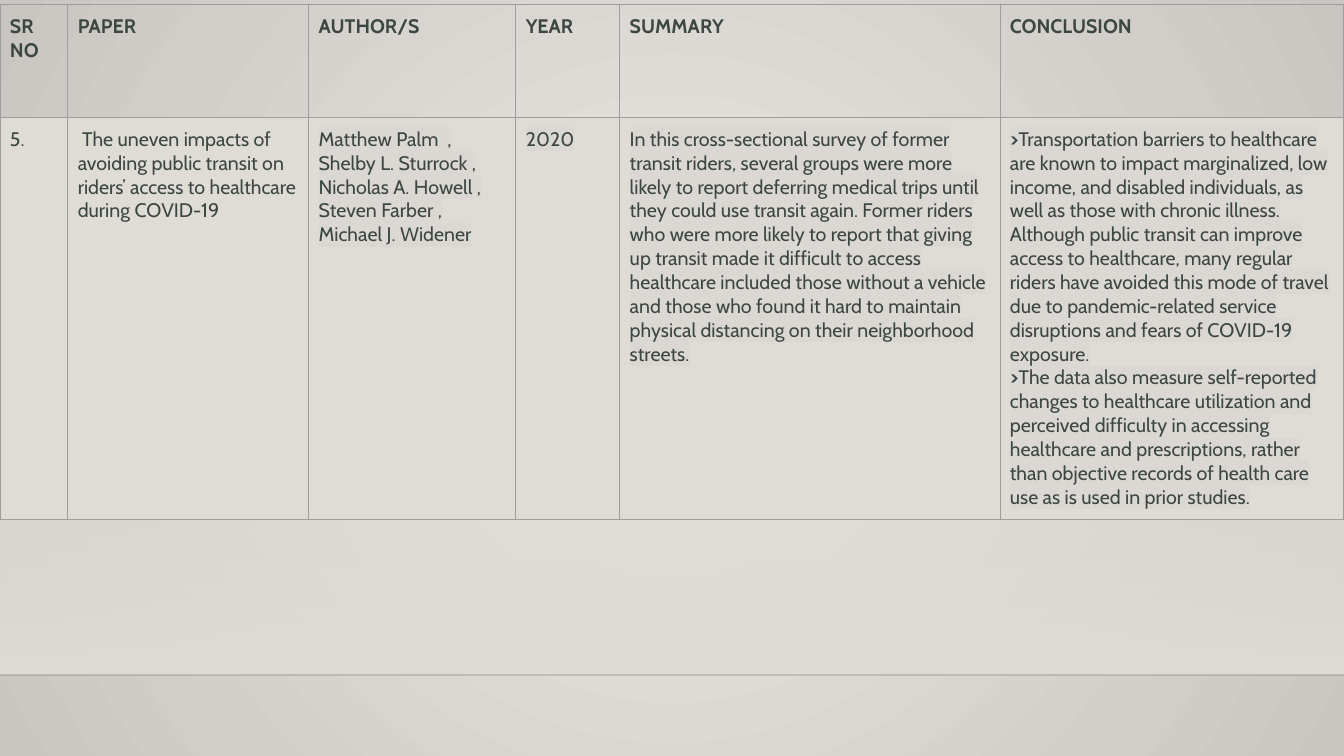
from lxml import etree
from pptx import Presentation
from pptx.dml.color import RGBColor
from pptx.enum import shapes
from pptx.oxml import ns
from pptx.util import Cm, Pt

HUES = {"ink": "3C4743", "panel": "DFDBD5", "mark": "DBD7D3", "grid": "9E9E9E",
        "light": "EBE9E6", "dark": "C9C5C0", "rule": "000001"}
WIDE, HIGH = 33.87, 19.05
FLOOR = 17.01
COLS = [1.71, 6.07, 5.22, 2.62, 9.58, 8.65]
ROWS = [2.85, 8.76]
HEADS = ["SR\nNO", "PAPER", "AUTHOR/S", "YEAR", "SUMMARY", "CONCLUSION"]
STUDY = [
    "5.",
    " The uneven impacts of avoiding public transit on riders’ access to healthcare "
    "during COVID-19",
    "Matthew Palm  , Shelby L. Sturrock , Nicholas A. Howell , Steven Farber , "
    "Michael J. Widener",
    "2020",
    "In this cross-sectional survey of former transit riders, several groups were more "
    "likely to report deferring medical trips until they could use transit again. Former "
    "riders who were more likely to report that giving up transit made it difficult to "
    "access healthcare included those without a vehicle and those who found it hard to "
    "maintain physical distancing on their neighborhood streets.",
    ">Transportation barriers to healthcare are known to impact marginalized, low income, "
    "and disabled individuals, as well as those with chronic illness. Although public "
    "transit can improve access to healthcare, many regular riders have avoided this mode "
    "of travel due to pandemic-related service disruptions and fears of COVID-19 exposure.\n"
    ">The data also measure self-reported changes to healthcare utilization and perceived "
    "difficulty in accessing\n"
    "healthcare and prescriptions, rather than objective records of health care use as is "
    "used in prior studies.",
]


def rgb(hue):
    return RGBColor.from_string(HUES[hue])


def node(host, tag, **attrs):
    return etree.SubElement(host, ns.qn("a:" + tag), attrs)


def fade(fill, host, hues):
    """Give a two-stop gradient and return its element, without a direction."""
    fill.gradient()
    for stop, hue in zip(fill.gradient_stops, hues):
        stop.color.rgb = rgb(hue)
    grad = host.xpath(".//a:gradFill")[0]
    for lin in grad.findall(ns.qn("a:lin")):
        grad.remove(lin)
    return grad


def write(frame, words, bold=False, mark=None, after=0):
    """Write one paragraph a line; a leading > is always bold."""
    frame.word_wrap = True
    for i, line in enumerate(words.split("\n")):
        para = frame.add_paragraph() if i else frame.paragraphs[0]
        para.space_after = Pt(after)
        lead = line[:1] == ">"
        parts = [(">", True), (line[1:], bold)] if lead else [(line, bold)]
        for part, heavy in parts:
            run = para.add_run()
            run.text = part
            font = run.font
            font.name, font.size, font.bold = "Cabin", Pt(14), heavy
            font.color.rgb = rgb("ink")
            if mark:
                light = etree.Element(ns.qn("a:highlight"))
                node(light, "srgbClr", val=HUES[mark])
                run._r.rPr.find(ns.qn("a:solidFill")).addnext(light)


def edge(cell):
    """Draw all four borders, ahead of the cell's fill."""
    props = cell._tc.get_or_add_tcPr()
    for i, side in enumerate(("lnL", "lnR", "lnT", "lnB")):
        line = etree.Element(ns.qn("a:" + side), w=str(Pt(0.75)))
        node(node(line, "solidFill"), "srgbClr", val=HUES["grid"])
        props.insert(i, line)


def backdrop(slide, top, base):
    grad = fade(slide.background.fill, slide._element, ("light", "dark"))
    ring = node(grad, "path", path="circle")
    node(ring, "fillToRect", l="50000", t="50000", r="50000", b="50000")

    panel = slide.shapes.add_shape(
        shapes.MSO_SHAPE.RECTANGLE, 0, Cm(top), Cm(WIDE), Cm(base - top))
    panel.shadow.inherit = False
    panel.line.fill.background()
    grad = fade(panel.fill, panel._element, ("panel", "panel"))
    node(grad.xpath(".//a:srgbClr")[0], "alpha", val="0")
    node(grad, "lin", ang="5400000", scaled="0")

    rule = slide.shapes.add_connector(
        shapes.MSO_CONNECTOR.STRAIGHT, 0, Cm(base), Cm(WIDE), Cm(base))
    rule.line.width = Pt(1)
    rule.line.color.rgb = rgb("rule")
    node(rule._element.xpath(".//a:srgbClr")[0], "alpha", val="20000")
    node(rule._element.spPr, "effectLst")


def review(slide, left, top):
    """Place the literature table."""
    table = slide.shapes.add_table(
        len(ROWS), len(COLS), Cm(left), Cm(top), Cm(sum(COLS)), Cm(sum(ROWS))).table
    table.first_row = table.horz_banding = False
    for col, size in zip(table.columns, COLS):
        col.width = Cm(size)
    for row, size in zip(table.rows, ROWS):
        row.height = Cm(size)
    for r, line in enumerate((HEADS, STUDY)):
        for c, words in enumerate(line):
            cell = table.cell(r, c)
            cell.margin_left = cell.margin_right = Cm(0.25)
            cell.margin_top = cell.margin_bottom = Cm(0.25)
            if r:
                cell.fill.solid()
                cell.fill.fore_color.rgb = rgb("panel")
            else:
                cell.fill.background()
            edge(cell)
            write(cell.text_frame, words, bold=r == 0,
                  mark="mark" if r and c > 1 else None,
                  after=15 if r and c == 1 else 0)


def main():
    deck = Presentation()
    deck.slide_width, deck.slide_height = Cm(WIDE), Cm(HIGH)
    slide = deck.slides.add_slide(deck.slide_layouts[6])
    backdrop(slide, 5.61, FLOOR)
    review(slide, 0, 0.11)
    deck.save("out.pptx")


if __name__ == "__main__":
    main()
